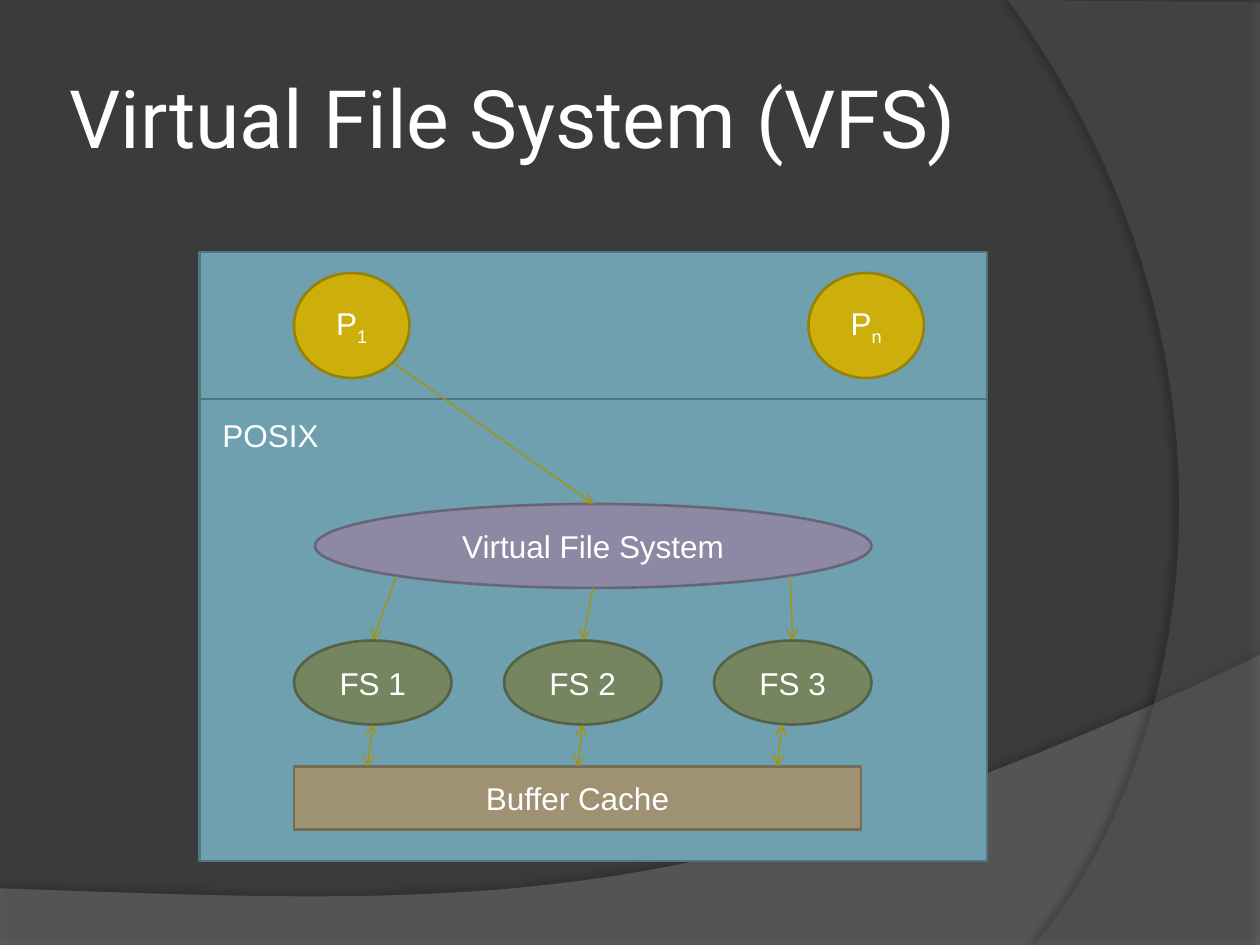
from dataclasses import dataclass

from lxml.etree import SubElement
from pptx import Presentation
from pptx.dml.color import RGBColor
from pptx.enum.shapes import MSO_CONNECTOR, MSO_SHAPE
from pptx.enum.text import MSO_ANCHOR, MSO_AUTO_SIZE, PP_ALIGN
from pptx.oxml.ns import qn
from pptx.util import Pt


@dataclass(frozen=True)
class Theme:
    background: str = "3B3B3B"
    wave: str = "7F7F7F"
    arc: str = "5E5E5E"
    shadow: str = "000000"
    text: str = "FFFFFF"
    arrow: str = "AB9200"
    panel: tuple = ("6EA0B0", "517682")
    process: tuple = ("CCAF0A", "978107")
    switch: tuple = ("8D89A4", "686579")
    file_system: tuple = ("748560", "566247")
    cache: tuple = ("9E9273", "756C55")
    title_font: str = "Roboto"
    body_font: str = "Arial"
    title_size: float = 46
    body_size: float = 18
    outline: float = 1.5
    arrow_width: float = 0.75


def set_attributes(target, formats):
    for name, value in formats.items():
        setattr(target, name, value)


def curve_points(start, first, second, end, steps=48):
    for step in range(steps + 1):
        t = step / steps
        weights = ((1 - t) ** 3, 3 * t * (1 - t) ** 2, 3 * t * t * (1 - t), t ** 3)
        yield tuple(
            sum(weight * value for weight, value in zip(weights, values))
            for values in zip(start, first, second, end)
        )


class SlideBuilder:
    """Draw styled elements on the current slide, with lengths in points."""

    def __init__(self, presentation, theme):
        self.theme = theme
        self.slide = presentation.slides.add_slide(presentation.slide_layouts[5])
        self.shapes = self.slide.shapes
        self.fill(self.slide.background.fill, theme.background)

    def fill(self, target, color):
        target.solid()
        target.fore_color.rgb = RGBColor.from_string(color)

    def add_text(self, paragraph, text, font_name, size, subscript=""):
        for part in filter(None, (text, subscript)):
            run = paragraph.add_run()
            run.text = part
            set_attributes(run.font, {"name": font_name, "size": Pt(size)})
            run.font.color.rgb = RGBColor.from_string(self.theme.text)
        if subscript:
            run._r.get_or_add_rPr().set("baseline", "-25000")

    def title(self, text, box):
        title = self.shapes.title
        set_attributes(title, dict(zip(("left", "top", "width", "height"), map(Pt, box))))
        frame = title.text_frame
        margins = ("margin_left", "margin_top", "margin_right", "margin_bottom")
        set_attributes(frame, dict.fromkeys(margins, Pt(3.6)))
        set_attributes(frame, {
            "vertical_anchor": MSO_ANCHOR.MIDDLE,
            "word_wrap": True,
            "auto_size": MSO_AUTO_SIZE.NONE,
        })
        paragraph = frame.paragraphs[0]
        paragraph.alignment = PP_ALIGN.LEFT
        self.add_text(paragraph, text, self.theme.title_font, self.theme.title_size)
        self.shapes._spTree.append(title._element)

    def backdrop(self, corners, curve, color, opacity, shadow):
        points = [(Pt(x), Pt(y)) for x, y in [*corners, *curve_points(*curve)]]
        builder = self.shapes.build_freeform(*points[0])
        builder.add_line_segments(points[1:], close=True)
        shape = builder.convert_to_shape()
        self.fill(shape.fill, color)
        shape.line.fill.background()
        properties = shape._element.spPr
        fill_color = properties.find(qn("a:solidFill"))[0]
        SubElement(fill_color, qn("a:alpha"), val=str(opacity * 1000))
        shadow_opacity, blur, distance, direction = shadow
        effects = SubElement(properties, qn("a:effectLst"))
        outer = SubElement(
            effects, qn("a:outerShdw"), blurRad=str(Pt(blur)), dist=str(Pt(distance)),
            dir=str(direction * 60000), algn="ctr", rotWithShape="0",
        )
        shadow_color = SubElement(outer, qn("a:srgbClr"), val=self.theme.shadow)
        SubElement(shadow_color, qn("a:alpha"), val=str(shadow_opacity * 1000))

    def node(self, kind, box, colors, text="", subscript=""):
        shape = self.shapes.add_shape(kind, *map(Pt, box))
        shape.shadow.inherit = False
        fill_color, line_color = colors
        self.fill(shape.fill, fill_color)
        self.fill(shape.line.fill, line_color)
        shape.line.width = Pt(self.theme.outline)
        shape.text_frame.vertical_anchor = MSO_ANCHOR.MIDDLE
        paragraph = shape.text_frame.paragraphs[0]
        paragraph.alignment = PP_ALIGN.CENTER
        self.add_text(paragraph, text, self.theme.body_font, self.theme.body_size, subscript)
        return shape

    def label(self, text, box):
        frame = self.shapes.add_textbox(*map(Pt, box)).text_frame
        set_attributes(frame, {"word_wrap": True, "auto_size": MSO_AUTO_SIZE.SHAPE_TO_FIT_TEXT})
        self.add_text(frame.paragraphs[0], text, self.theme.body_font, self.theme.body_size)

    def arrow(self, start, end, target=None, both_ways=False):
        connector = self.shapes.add_connector(
            MSO_CONNECTOR.STRAIGHT, *map(Pt, (*start, *end))
        )
        if target is not None:
            connector.end_connect(target, 0)
        self.fill(connector.line.fill, self.theme.arrow)
        connector.line.width = Pt(self.theme.arrow_width)
        line = connector.line._get_or_add_ln()
        for end_name in ("a:headEnd", "a:tailEnd") if both_ways else ("a:tailEnd",):
            SubElement(line, qn(end_name), type="arrow")
        SubElement(connector._element.spPr, qn("a:effectLst"))


def main():
    presentation = Presentation()
    set_attributes(presentation, {"slide_width": Pt(720), "slide_height": Pt(540)})
    theme = Theme()
    builder = SlideBuilder(presentation, theme)

    builder.backdrop(
        [(0, 540), (720, 540)],
        [(720, 374.4), (402.5, 524.9), (281.5, 517.7), (0, 507.6)],
        theme.wave, 45, (35, 4, 3.5, 270),
    )
    builder.backdrop(
        [(720, 1.4), (720, 540)],
        [(591, 540), (673, 445.7), (733, 216), (576, 0)],
        theme.arc, 40, (45, 4, 4, 180),
    )
    builder.title("Virtual File System (VFS)", (36, 21.6, 588, 90))

    oval, rectangle = MSO_SHAPE.OVAL, MSO_SHAPE.RECTANGLE
    builder.node(rectangle, (114, 144, 450, 84), theme.panel)
    for left, index in ((168, "1"), (462, "n")):
        builder.node(oval, (left, 156, 66, 60), theme.process, "P", index)
    builder.node(rectangle, (114, 228, 450, 264), theme.panel)
    builder.label("POSIX", (120, 234, 108, 28.8))

    switch = builder.node(oval, (180, 288, 318, 48), theme.switch, "Virtual File System")
    file_systems = [
        builder.node(oval, (168 + 120 * i, 366, 90, 48), theme.file_system, f"FS {i + 1}")
        for i in range(3)
    ]
    builder.node(rectangle, (168, 438, 324, 36), theme.cache, "Buffer Cache")

    builder.arrow((224.5, 207.2), (339, 288), switch)
    switch_exits = ((226.6, 329), (339, 336), (451.4, 329))
    for i, (start, file_system) in enumerate(zip(switch_exits, file_systems)):
        builder.arrow(start, (213 + 120 * i, 366), file_system)
    for bottom in (213, 333, 447):
        builder.arrow((bottom, 414), (bottom - 3, 438), both_ways=True)

    presentation.save("out.pptx")


if __name__ == "__main__":
    main()
